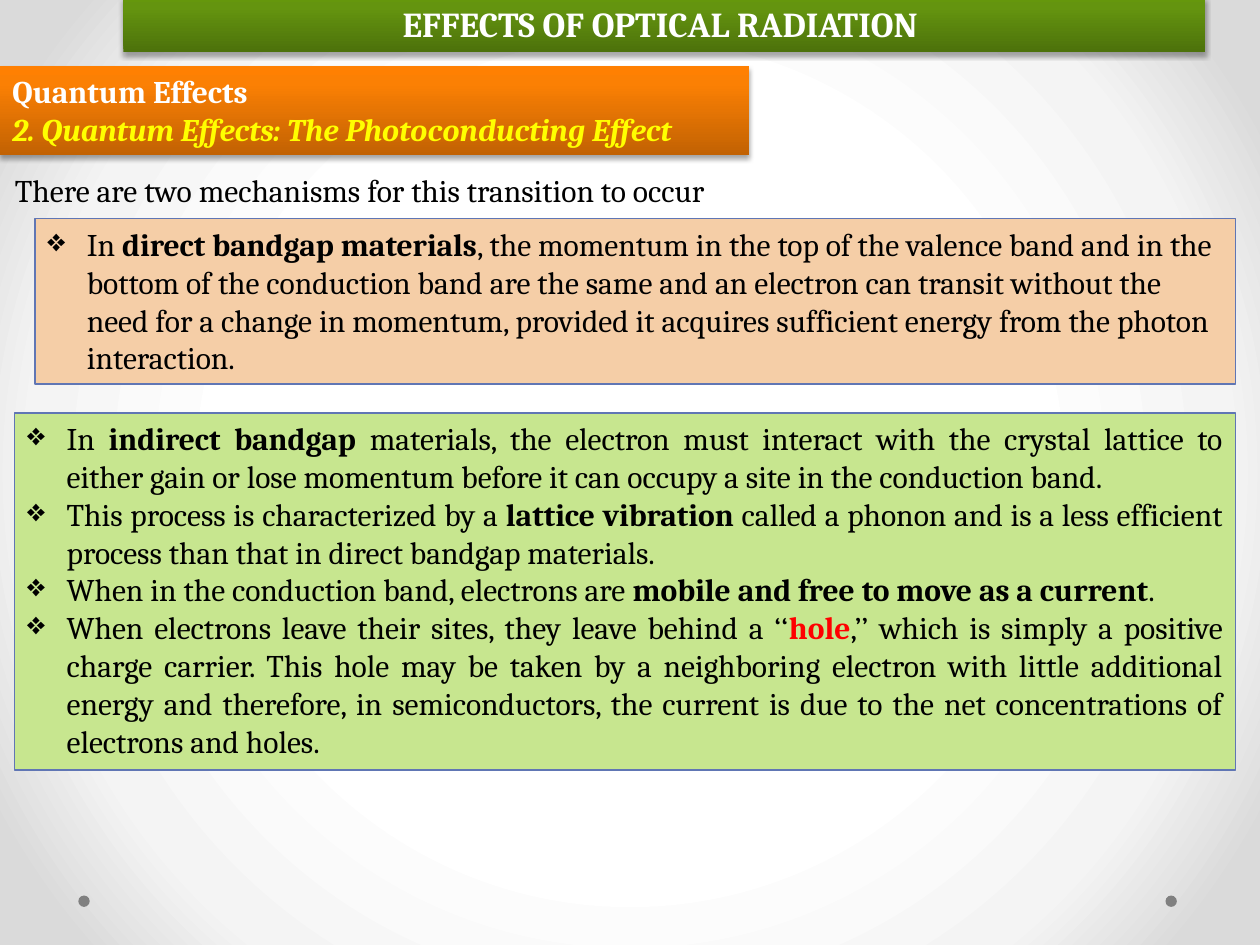
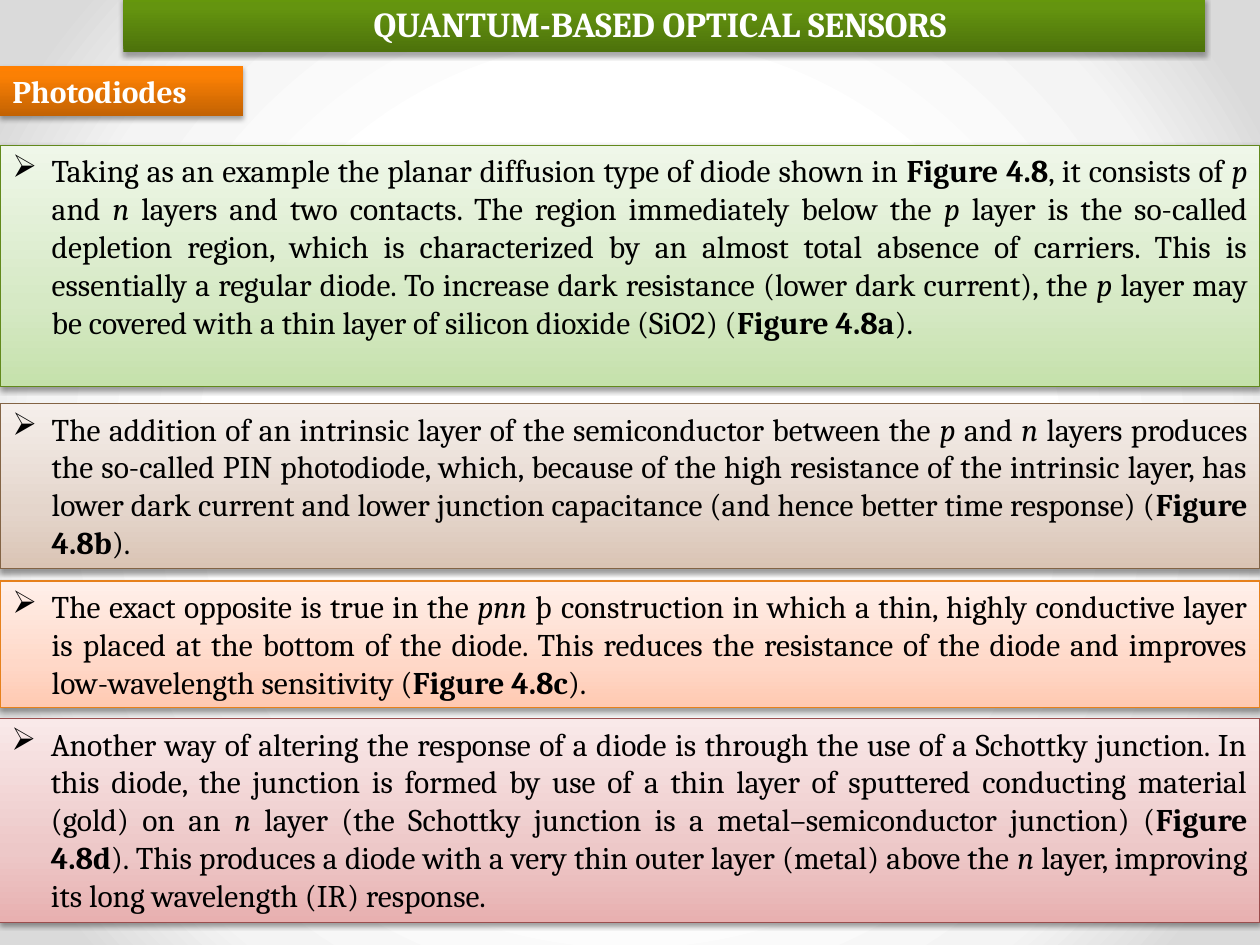
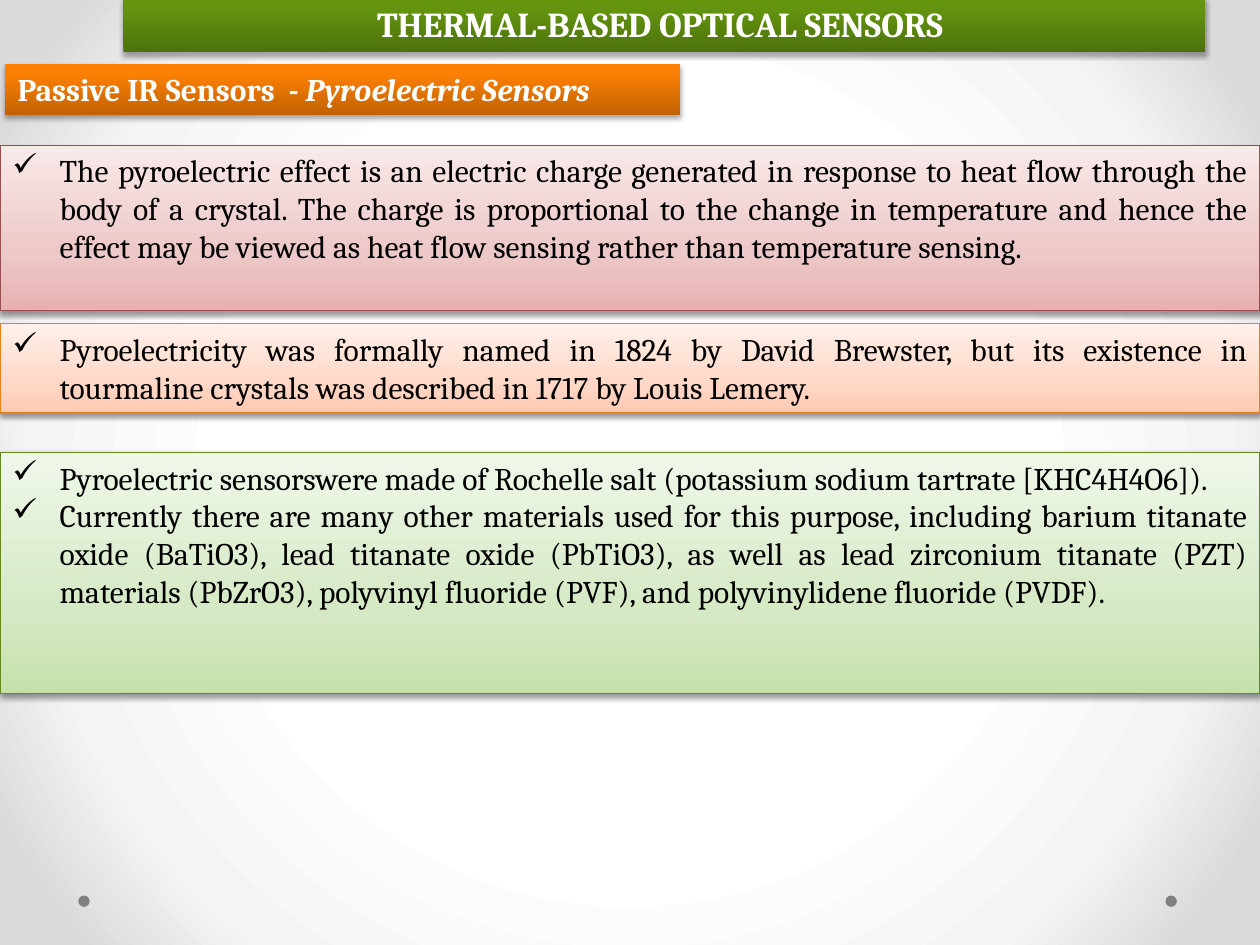
from lxml import etree
from pptx import Presentation
from pptx.dml.color import RGBColor
from pptx.enum import shapes, text
from pptx.oxml.ns import qn
from pptx.util import Pt

# Colours
WHITE = RGBColor(0xFF, 0xFF, 0xFF)
BLACK = RGBColor(0, 0, 0)
RED = RGBColor(0xFF, 0, 0)
YELLOW = RGBColor(0xFF, 0xFF, 0)
GREY = RGBColor(0x80, 0x80, 0x80)
BLUE = RGBColor(0x60, 0x76, 0xB4)
PEACH = RGBColor(0xF5, 0xCE, 0xA7)
LIME = RGBColor(0xC7, 0xE6, 0x8F)
GREEN = RGBColor(0x62, 0x89, 0x1C)
BROWN = RGBColor(0x83, 0x64, 0x45)
ORANGE = RGBColor(0xE6, 0x81, 0x1C)
ROSE = RGBColor(0x9A, 0x4E, 0x4E)

# Gradients: stop positions, then a colour for each
BAR, SOFT, BACK = (0, 80, 100), (0, 35, 100), (50, 76, 92)
LEFT, MID, JUST = (text.PP_ALIGN.LEFT, text.PP_ALIGN.CENTER, text.PP_ALIGN.JUSTIFY)

# Box styles: fill, line, shadow (opacity, distance), alignment, font
HEAD = {"name": "Cambria", "size": Pt(20), "bold": True, "italic": False, "color": WHITE}
SUB = HEAD | {"size": Pt(18)}
BODY = SUB | {"bold": False, "color": BLACK}
DARK, PALE = (35, 1.8), (38, 1.6)
STYLES = {
    "title": ((BAR, "4D720B 64940F 65970C"), None, DARK, MID, HEAD),
    "topic": ((BAR, "C26203 FB8004 FF8002"), None, DARK, LEFT, SUB),
    "plain": (None, None, None, LEFT, BODY),
    "peach": (PEACH, BLUE, None, LEFT, BODY),
    "lime": (LIME, BLUE, None, JUST, BODY),
    "green": ((SOFT, "C5E1AB D6E9C5 EFF7E9"), GREEN, PALE, JUST, BODY),
    "brown": ((SOFT, "DAC4B4 E4D5CB F5EFEB"), BROWN, PALE, JUST, BODY),
    "orange": ((SOFT, "FFC9B1 FFD8C8 FFF0EA"), ORANGE, PALE, JUST, BODY),
    "rose": ((SOFT, "E8B0B0 EDC8C8 F9E9E9"), ROSE, PALE, JUST, BODY),
}
# Run marks: |flags:text| inside a paragraph
FLAGS = {"b": ("bold", True), "i": ("italic", True), "r": ("color", RED), "y": ("color", YELLOW)}
BAND = (70.5, -2, 618, 31.5)

# Slides: bullet, indent, then boxes of style, place and paragraphs
SLIDES = [
    ("❖", 22.5, [
        ("title", BAND, ["EFFECTS OF OPTICAL RADIATION "]),
        ("plain", (1.5, 94.3, 540, 29), ["There are two mechanisms for this transition to occur"]),
        ("topic", (0, 37.5, 428, 51), [
            "Quantum Effects",
            "|iy:2. Quantum Effects: The Photoconducting Effect|"]),
        ("peach", (20, 125, 686, 94.5), [
            "In |b:direct bandgap materials|, the momentum in the top of the valence band and in the "
            "bottom of the conduction band are the same and an electron can transit without the need "
            "for a change in momentum, provided it acquires sufficient energy from the photon "
            "interaction."]),
        ("lime", (8.5, 236, 697.5, 204), [
            "In |b:indirect bandgap| materials, the electron must interact with the crystal lattice to "
            "either gain or lose momentum before it can occupy a site in the conduction band.",
            "This process is characterized by a |b:lattice vibration| called a phonon and is a less "
            "efficient process than that in direct bandgap materials.",
            "When in the conduction band, electrons are |b:mobile and free to move as a current|.",
            "When electrons leave their sites, they leave behind a ‘‘|br:hole|,’’ which is simply a "
            "positive charge carrier. This hole may be taken by a neighboring electron with little "
            "additional energy and therefore, in semiconductors, the current is due to the net "
            "concentrations of electrons and holes."]),
    ]),
    ("➢", 22.5, [
        ("title", BAND, ["QUANTUM-BASED OPTICAL SENSORS "]),
        ("topic", (0, 37.5, 139, 29), ["Photodiodes"]),
        ("green", (0, 83, 720, 138), [
            "Taking as an example the planar diffusion type of diode shown in |b:Figure 4.8|, it "
            "consists of |i:p| and |i:n| layers and two contacts. The region immediately below the "
            "|i:p| layer is the so-called depletion region, which is characterized by an almost total "
            "absence of carriers. This is essentially a regular diode. To increase dark resistance "
            "(lower dark current), the |i:p| layer may be covered with a thin layer of silicon dioxide "
            "(SiO2) (|b:Figure 4.8a|)."]),
        ("brown", (0, 230.5, 720, 94.5), [
            "The addition of an intrinsic layer of the semiconductor between the |i:p| and |i:n| layers "
            "produces the so-called PIN photodiode, which, because of the high resistance of the "
            "intrinsic layer, has lower dark current and lower junction capacitance (and hence better "
            "time response) (|b:Figure 4.8b|)."]),
        ("orange", (0, 332, 720, 72.5), [
            "The exact opposite is true in the |i:pnn| þ construction in which a thin, highly "
            "conductive layer is placed at the bottom of the diode. This reduces the resistance of the "
            "diode and improves low-wavelength sensitivity (|b:Figure 4.8c|)."]),
        ("rose", (-0.5, 410.5, 720.5, 116.5), [
            "Another way of altering the response of a diode is through the use of a Schottky junction. "
            "In this diode, the junction is formed by use of a thin layer of sputtered conducting "
            "material (gold) on an |i:n| layer (the Schottky junction is a metal–semiconductor "
            "junction) (|b:Figure 4.8d|). This produces a diode with a very thin outer layer (metal) "
            "above the |i:n| layer, improving its long wavelength (IR) response."]),
    ]),
    ("✓", 27, [
        ("title", BAND, ["THERMAL-BASED OPTICAL SENSORS "]),
        ("topic", (3, 36.5, 385.5, 29), ["Passive IR Sensors  - |i:Pyroelectric Sensors|"]),
        ("rose", (0, 83, 720, 94.5), [
            "The pyroelectric effect is an electric charge generated in response to heat flow through "
            "the body of a crystal. The charge is proportional to the change in temperature and hence "
            "the effect may be viewed as heat flow sensing rather than temperature sensing."]),
        ("orange", (0, 185, 720, 51), [
            "Pyroelectricity was formally named in 1824 by David Brewster, but its existence in "
            "tourmaline crystals was described in 1717 by Louis Lemery."]),
        ("green", (0, 258.5, 720, 138), [
            "Pyroelectric sensorswere made of Rochelle salt (potassium sodium tartrate [KHC4H4O6]).",
            "Currently there are many other materials used for this purpose, including barium titanate "
            "oxide (BaTiO3), lead titanate oxide (PbTiO3), as well as lead zirconium titanate (PZT) "
            "materials (PbZrO3), polyvinyl fluoride (PVF), and polyvinylidene fluoride (PVDF)."]),
    ]),
]


def blend(fill, root, spots, tones, round=False):
    """Give a fill a gradient, upward or round the centre."""
    fill.gradient()
    node = next(root.iter(qn("a:gradFill")))
    node.clear()
    stops = etree.SubElement(node, qn("a:gsLst"))
    for spot, tone in zip(spots, tones.split()):
        stop = etree.SubElement(stops, qn("a:gs"), pos=str(spot * 1000))
        etree.SubElement(stop, qn("a:srgbClr"), val=tone)
    if round:
        ring = etree.SubElement(node, qn("a:path"), {"path": "circle"})
        etree.SubElement(ring, qn("a:fillToRect"), dict.fromkeys("ltrb", "50000"))
    else:
        etree.SubElement(node, qn("a:lin"), ang="16200000", scaled="0")


def write(para, line, font):
    """Fill a paragraph with plain and marked runs."""
    for num, part in enumerate(line.split("|")):
        look = dict(font)
        if num % 2:
            flags, _, part = part.partition(":")
            look.update(FLAGS[flag] for flag in flags)
        if part:
            run = para.add_run()
            run.text = part
            run.font.color.rgb = look.pop("color")
            for key, val in look.items():
                setattr(run.font, key, val)


deck = Presentation()
deck.slide_width, deck.slide_height = Pt(720), Pt(540)
base = deck.slide_layouts[5]
blend(base.background.fill, base.element, BACK, "FFFFFF F4F4F4 DADADA", round=True)

for mark, dent, boxes in SLIDES:
    slide = deck.slides.add_slide(base)
    for kind, place, lines in boxes:
        fill, edge, shade, align, font = STYLES[kind]
        spot = [Pt(n) for n in place]

        # Box
        if kind == "title":
            box = slide.shapes.title
            box.left, box.top, box.width, box.height = spot
        elif kind == "plain":
            box = slide.shapes.add_textbox(*spot)
        else:
            box = slide.shapes.add_shape(shapes.MSO_SHAPE.RECTANGLE, *spot)

        # Fill and line
        if isinstance(fill, RGBColor):
            box.fill.solid()
            box.fill.fore_color.rgb = fill
        elif fill:
            blend(box.fill, box.element.spPr, *fill)
        if edge:
            box.line.color.rgb = edge
            box.line.width = Pt(0.75)
        else:
            box.line.fill.background()

        # Shadow
        box.shadow.inherit = False
        if shade:
            glow = box.element.spPr.find(qn("a:effectLst"))
            drop = etree.SubElement(glow, qn("a:outerShdw"), blurRad=str(Pt(3.1)),
                                    dist=str(Pt(shade[1])), dir="5400000", rotWithShape="0")
            tint = etree.SubElement(drop, qn("a:srgbClr"), val="000000")
            etree.SubElement(tint, qn("a:alpha"), val=str(shade[0] * 1000))

        # Text
        frame = box.text_frame
        for key, val in {"word_wrap": True, "auto_size": text.MSO_AUTO_SIZE.NONE,
                         "vertical_anchor": text.MSO_ANCHOR.TOP}.items():
            setattr(frame, key, val)
        for num, line in enumerate(lines):
            para = frame.add_paragraph() if num else frame.paragraphs[0]
            para.alignment = align
            write(para, line, font)
            if kind not in ("title", "topic", "plain"):
                props = para._p.get_or_add_pPr()
                props.set("marL", str(Pt(dent)))
                props.set("indent", str(-Pt(dent)))
                etree.SubElement(props, qn("a:buChar"), char=mark)

# Footer dots, moved to the shared layout
for num, left in enumerate((44.75, 666)):
    dot = slide.shapes.add_shape(shapes.MSO_SHAPE.OVAL, Pt(left), Pt(511.75), Pt(6.5), Pt(6.5))
    dot.fill.solid()
    dot.fill.fore_color.rgb = GREY
    dot.line.fill.background()
    dot.shadow.inherit = False
    dot.element.nvSpPr.cNvPr.set("id", str(20 + num))
    base.shapes.element.append(dot.element)

deck.save("out.pptx")
